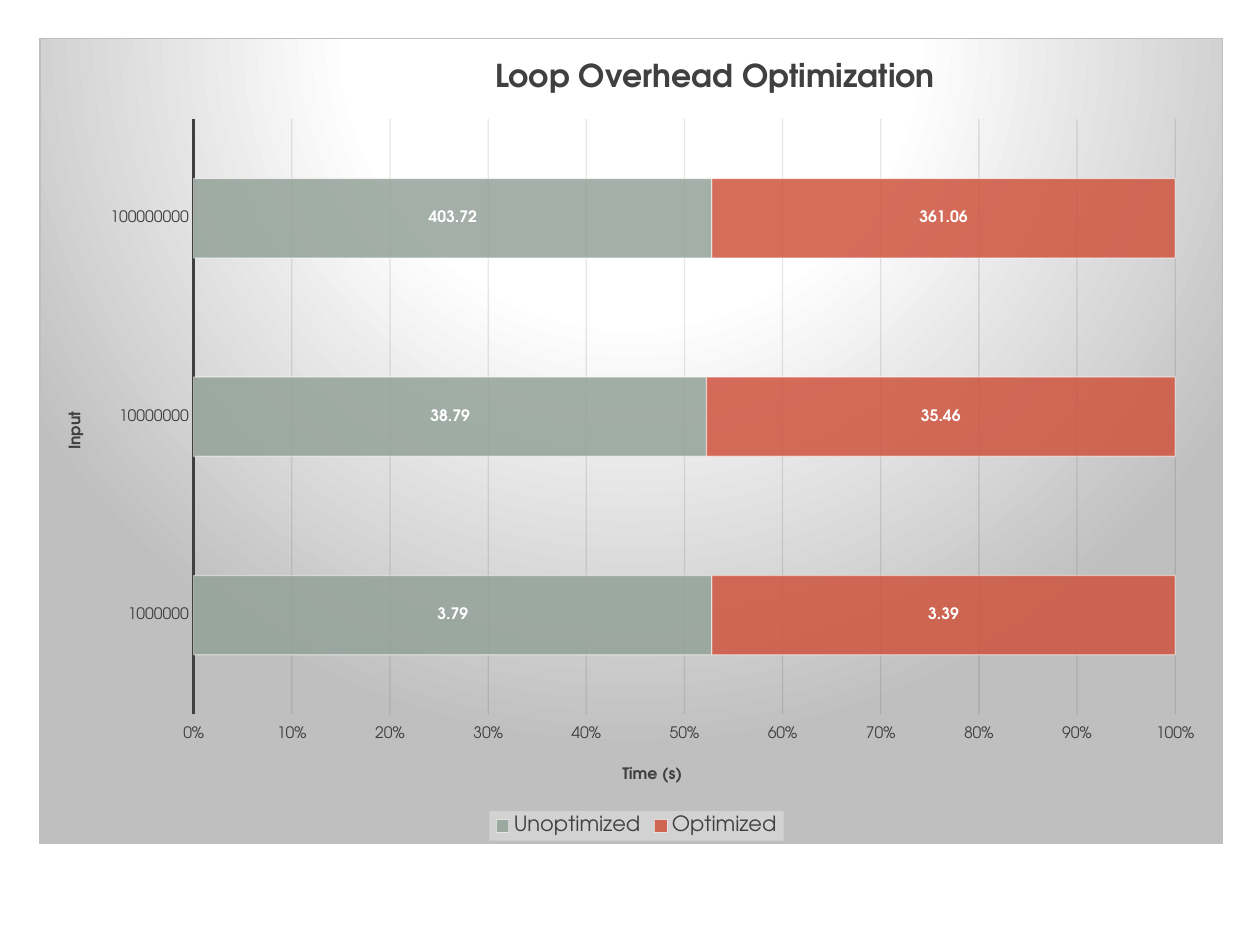
from lxml import etree
from pptx import Presentation
from pptx.chart.data import CategoryChartData
from pptx.dml.color import RGBColor
from pptx.enum.chart import (
    XL_CHART_TYPE, XL_LABEL_POSITION, XL_LEGEND_POSITION, XL_TICK_MARK)
from pptx.oxml import parse_xml
from pptx.oxml.ns import nsdecls, qn
from pptx.util import Pt

STACKED_BARS = XL_CHART_TYPE.BAR_STACKED_100
CENTERED = XL_LABEL_POSITION.CENTER
BOTTOM = XL_LEGEND_POSITION.BOTTOM
NO_TICK = XL_TICK_MARK.NONE
OUTSIDE = XL_TICK_MARK.OUTSIDE

INPUTS = ["1000000", "10000000", "100000000"]
TIMINGS = [
    ("Unoptimized", [3.79, 38.79, 403.72], "93A299"),
    ("Optimized", [3.39, 35.46, 361.06], "CF543F"),
]


def color(code):
    return RGBColor.from_string(code)


def apply(target, formats):
    for name, value in formats.items():
        setattr(target, name, value)


def fade(fill, percent):
    for shade in fill.iter(qn("a:srgbClr")):
        etree.SubElement(shade, qn("a:alpha"), val=str(percent * 1000))


def place(element, index, **fractions):
    present = element.find(qn("c:layout"))
    if present is not None:
        element.remove(present)
    layout = etree.Element(qn("c:layout"))
    manual = etree.SubElement(layout, qn("c:manualLayout"))
    if "w" in fractions:
        etree.SubElement(manual, qn("c:layoutTarget"), val="inner")
    for side in ("x", "y"):
        etree.SubElement(manual, qn(f"c:{side}Mode"), val="edge")
    for side, fraction in fractions.items():
        etree.SubElement(manual, qn(f"c:{side}"), val=str(fraction))
    element.insert(index, layout)


class Deck:
    font = "TeX Gyre Adventor"
    ink = "404040"
    paper = "FFFFFF"
    edge = "BFBFBF"

    def __init__(self, presentation):
        self.slide = presentation.slides.add_slide(presentation.slide_layouts[6])

    def style(self, font, size, bold=False, code=ink):
        apply(font, {"name": self.font, "size": Pt(size), "bold": bold})
        font.color.rgb = color(code)

    def bars(self, left, top, width, height):
        timings = CategoryChartData(number_format="#,##0.00")
        timings.categories = INPUTS
        for name, seconds, _ in TIMINGS:
            timings.add_series(name, seconds)
        chart = self.slide.shapes.add_chart(
            STACKED_BARS, Pt(left), Pt(top), Pt(width), Pt(height), timings).chart
        self.style(chart.font, 10, code="000000")
        plot = chart.plots[0]
        apply(plot, {"gap_width": 150, "overlap": 100, "vary_by_categories": False})
        for series, (_, _, code) in zip(plot.series, TIMINGS):
            self.series(series, code)
        place(chart._chartSpace.chart.plotArea, 0, x=0.13, y=0.1, w=0.83, h=0.74)
        return chart

    def series(self, series, code):
        look = series.format
        look.fill.solid()
        look.fill.fore_color.rgb = color(code)
        look.line.color.rgb = color(self.paper)
        look.line.width = Pt(0.75)
        bar = series._element.find(qn("c:spPr"))
        fade(bar.find(qn("a:solidFill")), 85)
        fade(bar.find(qn("a:ln")), 50)
        labels = series.data_labels
        apply(labels, {"show_value": True, "position": CENTERED,
                       "number_format": "#,##0.00",
                       "number_format_is_linked": False})
        self.style(labels.font, 9, True, self.paper)

    def title(self, title, text, size, x, y):
        title.text_frame.text = text
        self.style(title.text_frame.paragraphs[0].runs[0].font, size, True)
        place(title._element, 1, x=x, y=y)

    def axis(self, axis, formats):
        apply(axis, formats)
        self.style(axis.tick_labels.font, 9)

    def input_axis(self, axis):
        self.axis(axis, {"major_tick_mark": NO_TICK, "minor_tick_mark": NO_TICK,
                         "has_major_gridlines": False})
        axis.format.line.color.rgb = color(self.ink)
        axis.format.line.width = Pt(1.5)
        self.title(axis.axis_title, "Input", 9, 0.02, 0.46)

    def time_axis(self, axis):
        self.axis(axis, {"major_tick_mark": OUTSIDE, "minor_tick_mark": NO_TICK,
                         "has_major_gridlines": True})
        apply(axis.tick_labels, {"number_format": "0%",
                                 "number_format_is_linked": False})
        axis.format.line.fill.background()
        grid = axis.major_gridlines
        grid.format.line.color.rgb = color("0D0D0D")
        grid.format.line.width = Pt(0.75)
        fade(axis._element.find(qn("c:majorGridlines")), 10)
        self.title(axis.axis_title, "Time (s)", 9, 0.49, 0.9)

    def legend(self, chart):
        chart.has_legend = True
        legend = chart.legend
        apply(legend, {"position": BOTTOM, "include_in_layout": False})
        self.style(legend.font, 12)
        place(legend._element, 1, x=0.38, y=0.96)
        panel = parse_xml(
            f'<c:spPr {nsdecls("c", "a")}><a:solidFill>'
            '<a:srgbClr val="F2F2F2"/></a:solidFill></c:spPr>')
        fade(panel, 39)
        legend._element.find(qn("c:txPr")).addprevious(panel)

    def backdrop(self, chart):
        stops = "".join(
            f'<a:gs pos="{percent * 1000}"><a:srgbClr val="{code}"/></a:gs>'
            for percent, code in ((0, self.paper), (39, self.paper), (100, self.edge)))
        chart._chartSpace.chart.addnext(parse_xml(
            f'<c:spPr {nsdecls("c", "a")}><a:gradFill><a:gsLst>{stops}</a:gsLst>'
            '<a:path path="circle"><a:fillToRect l="50000" t="-80000" '
            'r="50000" b="180000"/></a:path></a:gradFill>'
            f'<a:ln w="{Pt(0.75)}"><a:solidFill><a:srgbClr val="{self.edge}"/>'
            '</a:solidFill></a:ln></c:spPr>'))


def main():
    presentation = Presentation()
    apply(presentation, {"slide_width": Pt(720), "slide_height": Pt(540)})
    deck = Deck(presentation)
    timing = deck.bars(22.5, 21.75, 676.5, 460.5)
    deck.title(timing.chart_title, "Loop Overhead Optimization", 18, 0.38, 0.02)
    deck.input_axis(timing.category_axis)
    deck.time_axis(timing.value_axis)
    deck.legend(timing)
    deck.backdrop(timing)
    presentation.save("out.pptx")


if __name__ == "__main__":
    main()
